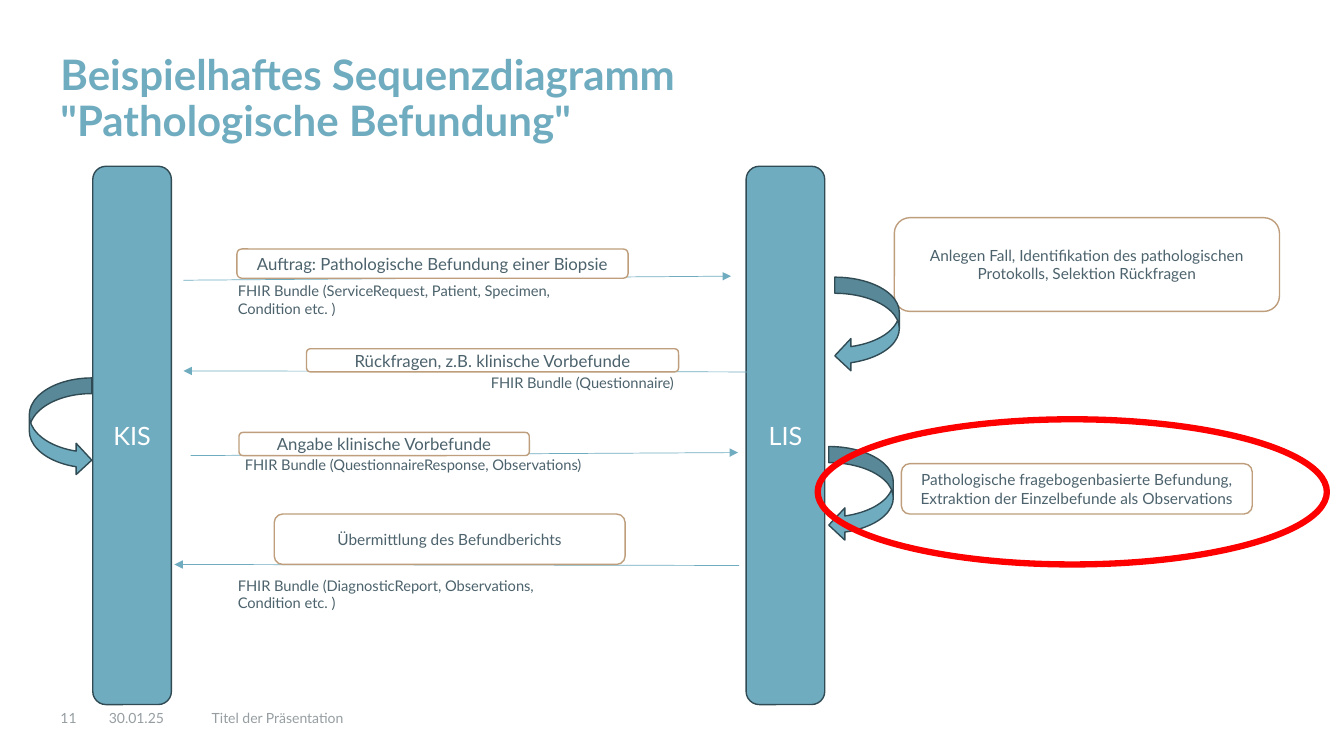
from dataclasses import dataclass

from lxml import etree
from pptx import Presentation
from pptx.dml.color import RGBColor
from pptx.enum.shapes import MSO_CONNECTOR, MSO_SHAPE
from pptx.enum.text import MSO_ANCHOR, PP_ALIGN
from pptx.oxml.ns import qn
from pptx.util import Inches, Pt

ROUNDED = MSO_SHAPE.ROUNDED_RECTANGLE
OVAL = MSO_SHAPE.OVAL
LOOP_RIGHT = MSO_SHAPE.CURVED_RIGHT_ARROW
LOOP_LEFT = MSO_SHAPE.CURVED_LEFT_ARROW
STRAIGHT = MSO_CONNECTOR.STRAIGHT
LEFT, CENTER = PP_ALIGN.LEFT, PP_ALIGN.CENTER
TOP, MIDDLE = MSO_ANCHOR.TOP, MSO_ANCHOR.MIDDLE


@dataclass
class Theme:
    font: str = "Lato"
    teal: str = "70ACC0"
    dark: str = "314B54"
    sand: str = "BE9E7C"
    text: str = "4C626C"
    muted: str = "969EA2"
    white: str = "FFFFFF"
    red: str = "FF0000"
    title_size: float = 30
    lifeline_size: float = 18
    message_size: float = 12
    step_size: float = 11
    caption_size: float = 10.5
    footer_size: float = 10


theme = Theme()
prs = Presentation()
prs.slide_width, prs.slide_height = Inches(13.33), Inches(7.5)
s = prs.slides.add_slide(prs.slide_layouts[6])


def write(sp, text, size, color, align=LEFT, anchor=TOP, bold=False, insets=(0.1, 0.05, 0.1, 0.05)):
    tf = sp.text_frame
    tf.text = text
    tf.word_wrap = True
    tf.vertical_anchor = anchor
    tf.margin_left, tf.margin_top, tf.margin_right, tf.margin_bottom = map(Inches, insets)
    p = tf.paragraphs[0]
    p.alignment = align
    for r in p.runs:
        r.font.name = theme.font
        r.font.size = Pt(size)
        r.font.bold = bold
        r.font.color.rgb = RGBColor.from_string(color)
    return p


def add_block(preset, at, fill, line, width=1):
    sp = s.shapes.add_shape(preset, *map(Inches, at))
    sp.shadow.inherit = False
    if fill:
        sp.fill.solid()
        sp.fill.fore_color.rgb = RGBColor.from_string(fill)
    else:
        sp.fill.background()
    sp.line.color.rgb = RGBColor.from_string(line)
    sp.line.width = Pt(width)
    return sp


title = s.shapes.add_textbox(Inches(0.6), Inches(0.52), Inches(10.87), Inches(0.94))
p = write(title, 'Beispielhaftes Sequenzdiagramm\v"Pathologische Befundung"',
          theme.title_size, theme.teal, bold=True, insets=(0, 0.02, 0, 0))
p.line_spacing = 0.9

for text, left, width in [("11", 0.6, 0.31), ("30.01.25", 1.08, 0.87),
                          ("Titel der Präsentation", 2.1, 4.72)]:
    footer = s.shapes.add_textbox(Inches(left), Inches(6.98), Inches(width), Inches(0.24))
    write(footer, text, theme.footer_size, theme.muted, insets=(0, 0.06, 0, 0))

for name, left in [("KIS", 0.92), ("LIS", 7.4)]:
    lifeline = add_block(ROUNDED, (left, 1.65, 0.78, 5.34), theme.teal, theme.dark)
    write(lifeline, name, theme.lifeline_size, theme.white, CENTER, MIDDLE)

arrows = [
    (1.82, 2.78, 7.25, 2.74),
    (7.42, 3.69, 1.82, 3.68),
    (1.89, 4.52, 7.32, 4.49),
    (7.33, 5.61, 1.73, 5.6),
]
for ends in arrows:
    arrow = s.shapes.add_connector(STRAIGHT, *map(Inches, ends))
    arrow.line.color.rgb = RGBColor.from_string(theme.teal)
    arrow.line.width = Pt(0.5)
    etree.SubElement(arrow.line._get_or_add_ln(), qn("a:tailEnd"), type="triangle")
    etree.SubElement(arrow._element.spPr, qn("a:effectLst"))

captions = [
    ("FHIR Bundle (ServiceRequest, Patient, Specimen, Condition etc. )", (2.26, 2.75, 3.69, 0.45)),
    ("FHIR Bundle (Questionnaire)", (4.77, 3.66, 2.13, 0.28)),
    ("FHIR Bundle (QuestionnaireResponse, Observations)", (2.33, 4.47, 3.71, 0.28)),
    ("FHIR Bundle (DiagnosticReport, Observations, Condition etc. )", (2.26, 5.67, 3.71, 0.45)),
]
for text, at in captions:
    caption = s.shapes.add_textbox(*map(Inches, at))
    write(caption, text, theme.caption_size, theme.text)

boxes = [
    ("Auftrag: Pathologische Befundung einer Biopsie", theme.message_size, (2.35, 2.47, 3.88, 0.29)),
    ("Rückfragen, z.B. klinische Vorbefunde", theme.message_size, (3.04, 3.46, 3.69, 0.23)),
    ("Angabe klinische Vorbefunde", theme.message_size, (2.37, 4.29, 2.88, 0.23)),
    ("Übermittlung des Befundberichts", theme.step_size, (2.72, 5.1, 3.48, 0.5)),
    ("Anlegen Fall, Identifikation des pathologischen Protokolls, Selektion Rückfragen",
     theme.step_size, (8.87, 2.16, 3.82, 0.93)),
    ("Pathologische fragebogenbasierte Befundung, Extraktion der Einzelbefunde als Observations",
     theme.step_size, (8.94, 4.6, 3.48, 0.5)),
]
for text, size, at in boxes:
    box = add_block(ROUNDED, at, theme.white, theme.sand)
    write(box, text, size, theme.text, CENTER, MIDDLE)

for preset, at in [(LOOP_RIGHT, (0.29, 3.75, 0.62, 0.97)),
                   (LOOP_LEFT, (8.28, 2.75, 0.64, 0.94)),
                   (LOOP_LEFT, (8.22, 4.43, 0.64, 0.94))]:
    add_block(preset, at, theme.teal, theme.dark)

add_block(OVAL, (8.11, 4.16, 5.05, 1.44), None, theme.red, 4.5)

prs.save("out.pptx")
